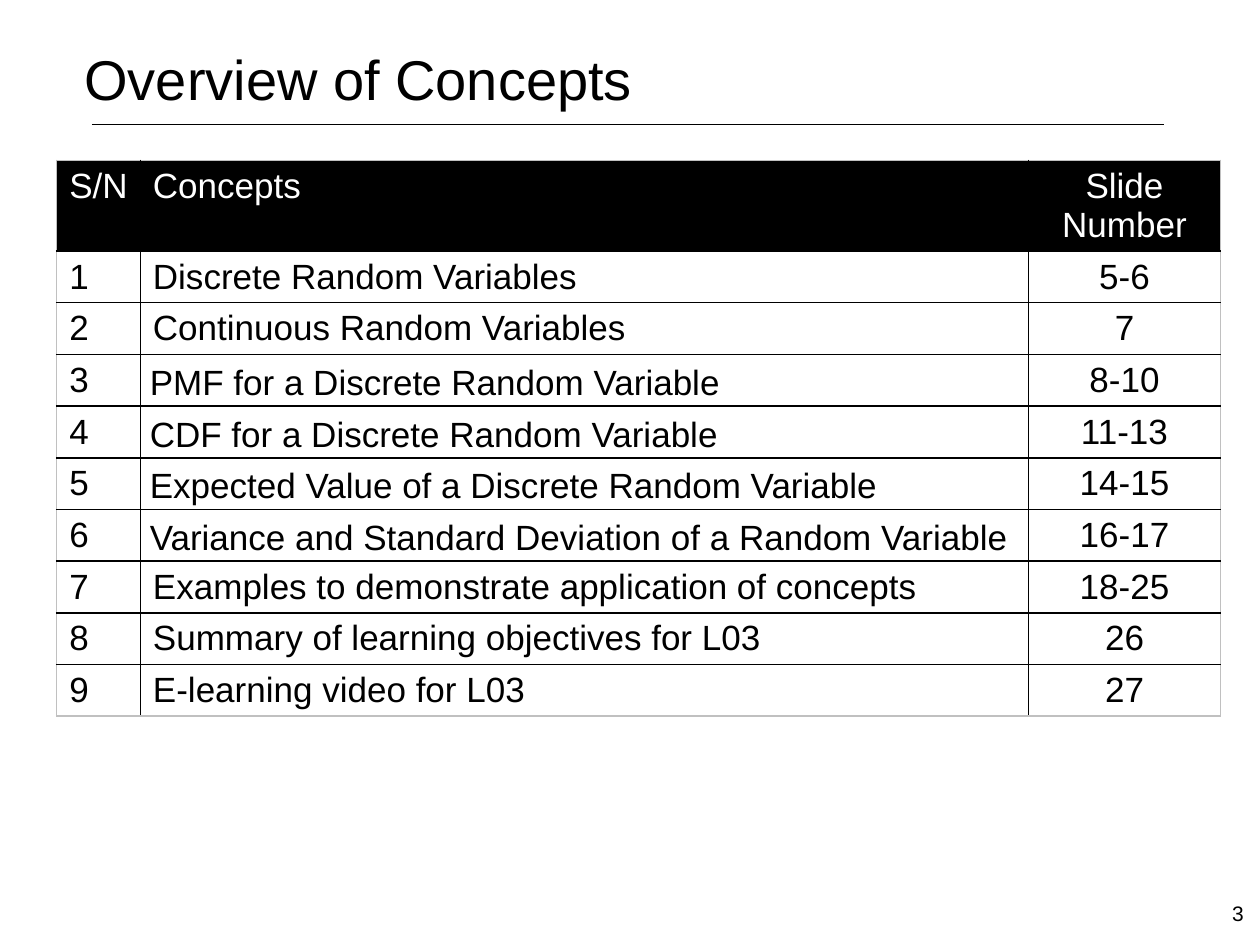
from lxml.etree import SubElement
from pptx import Presentation
from pptx.dml.color import RGBColor
from pptx.enum.shapes import MSO_CONNECTOR
from pptx.enum.text import MSO_ANCHOR, MSO_AUTO_SIZE, PP_ALIGN
from pptx.oxml.ns import qn
from pptx.util import Pt

LEFT, CENTER = PP_ALIGN.LEFT, PP_ALIGN.CENTER
TOP, MIDDLE = MSO_ANCHOR.TOP, MSO_ANCHOR.MIDDLE
STRAIGHT = MSO_CONNECTOR.STRAIGHT
NO_AUTOFIT = MSO_AUTO_SIZE.NONE

BLACK, WHITE, GREY = "000000", "FFFFFF", "C0C0C0"
FONT = "Arial"

TITLE = "Overview of Concepts"
SLIDE_NUMBER = "3"
HEADER = ("S/N", "Concepts", "Slide Number")
CONCEPTS = [
    ("Discrete Random Variables", "5-6"),
    ("Continuous Random Variables", "7"),
    ("PMF for a Discrete Random Variable", "8-10"),
    ("CDF for a Discrete Random Variable", "11-13"),
    ("Expected Value of a Discrete Random Variable", "14-15"),
    ("Variance and Standard Deviation of a Random Variable", "16-17"),
    ("Examples to demonstrate application of concepts", "18-25"),
    ("Summary of learning objectives for L03", "26"),
    ("E-learning video for L03", "27"),
]
TIGHT_ROWS = range(3, 7)
COLUMN_WIDTHS = (47.8, 507.6, 109.6)
ALIGNMENTS = (LEFT, LEFT, CENTER)
HEADER_HEIGHT, ROW_HEIGHT = 34.6, 29.52


def color(value):
    return RGBColor.from_string(value)


def write(frame, text, size, text_color=BLACK, alignment=LEFT):
    paragraph = frame.paragraphs[0]
    paragraph.alignment = alignment
    run = paragraph.add_run()
    run.text = text
    run.font.name = FONT
    run.font.size = Pt(size)
    run.font.color.rgb = color(text_color)
    return paragraph


def place(shape, left, top, width, height):
    shape.left, shape.top = Pt(left), Pt(top)
    shape.width, shape.height = Pt(width), Pt(height)


def set_borders(cell, edge_colors):
    properties = cell._tc.get_or_add_tcPr()
    for position, (edge, edge_color) in enumerate(edge_colors.items()):
        line = properties.makeelement(qn(f"a:{edge}"), {"w": str(Pt(1))})
        fill = SubElement(line, qn("a:solidFill"))
        SubElement(fill, qn("a:srgbClr"), val=edge_color)
        properties.insert(position, line)


def add_title(slide):
    title = slide.shapes.title
    place(title, 41, 21.6, 640, 90)
    frame = title.text_frame
    frame.word_wrap = True
    frame.auto_size = NO_AUTOFIT
    frame.vertical_anchor = TOP
    write(frame, TITLE, 32)
    rule = slide.shapes.add_connector(STRAIGHT, Pt(52.5), Pt(71.2), Pt(665.2), Pt(71.2))
    rule.line.color.rgb = color(BLACK)
    rule.line.width = Pt(0.25)
    SubElement(rule._element.spPr, qn("a:effectLst"))


def add_concept_table(slide):
    rows = [HEADER] + [(str(number), *concept) for number, concept in enumerate(CONCEPTS, 1)]
    last_row, last_column = len(rows) - 1, len(HEADER) - 1
    height = HEADER_HEIGHT + ROW_HEIGHT * last_row
    table = slide.shapes.add_table(
        len(rows), len(HEADER), Pt(32.4), Pt(91.6), Pt(sum(COLUMN_WIDTHS)), Pt(height)
    ).table
    table.first_row = table.horz_banding = False
    for column, width in zip(table.columns, COLUMN_WIDTHS):
        column.width = Pt(width)
    for r, values in enumerate(rows):
        table.rows[r].height = Pt(ROW_HEIGHT if r else HEADER_HEIGHT)
        for c, value in enumerate(values):
            cell = table.cell(r, c)
            if r:
                cell.fill.background()
            else:
                cell.fill.solid()
                cell.fill.fore_color.rgb = color(BLACK)
            paragraph = write(cell.text_frame, value, 20, BLACK if r else WHITE, ALIGNMENTS[c])
            if c == 1 and r in TIGHT_ROWS:
                cell.vertical_anchor = MIDDLE
                cell.margin_left = cell.margin_right = Pt(5.4)
                cell.margin_top = cell.margin_bottom = Pt(0)
                paragraph.line_spacing = 1.15
            set_borders(cell, {
                "lnL": BLACK if c else GREY,
                "lnR": BLACK if c < last_column else GREY,
                "lnT": BLACK if r else GREY,
                "lnB": BLACK if r < last_row else GREY,
            })


def add_slide_number(slide):
    box = slide.shapes.add_textbox(Pt(697), Pt(511.2), Pt(23), Pt(28.8))
    box.text_frame.word_wrap = True
    write(box.text_frame, SLIDE_NUMBER, 12)


def main():
    presentation = Presentation()
    presentation.slide_width, presentation.slide_height = Pt(720), Pt(540)
    slide = presentation.slides.add_slide(presentation.slide_layouts[5])
    add_title(slide)
    add_concept_table(slide)
    add_slide_number(slide)
    presentation.save("out.pptx")


if __name__ == "__main__":
    main()
